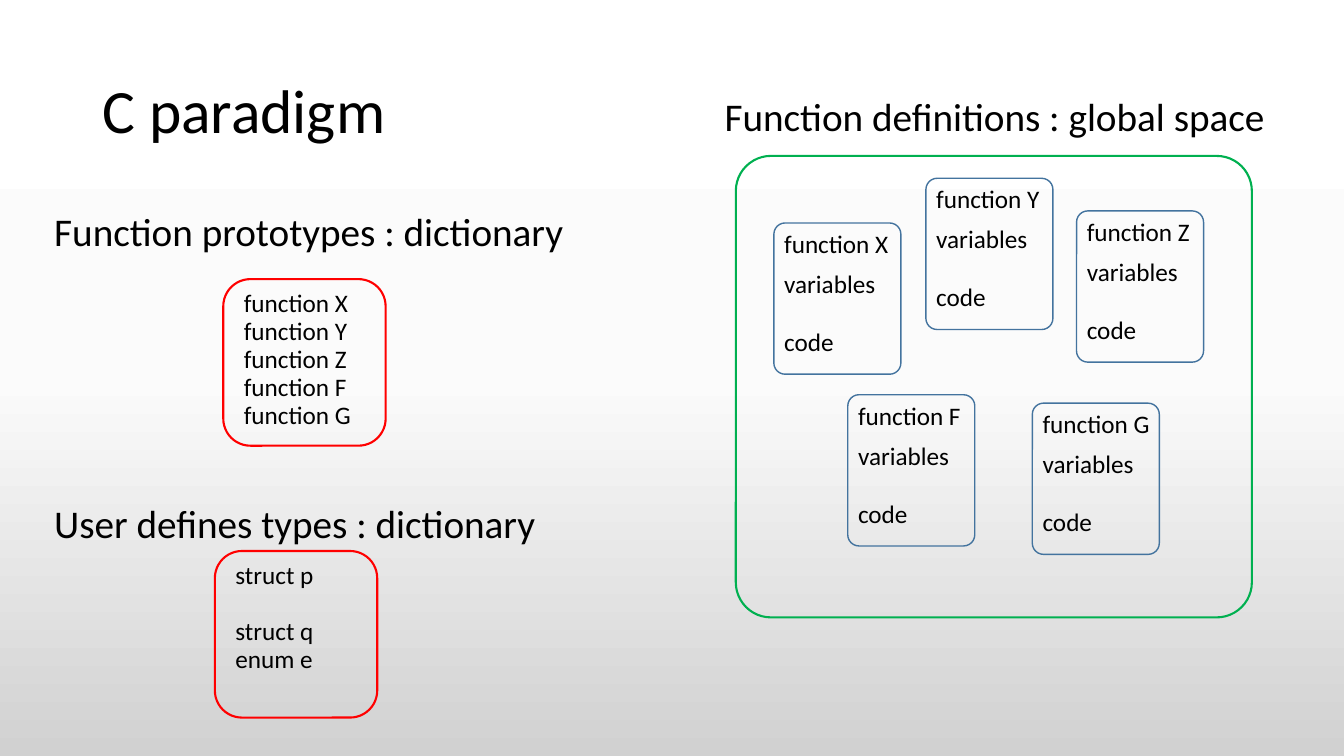
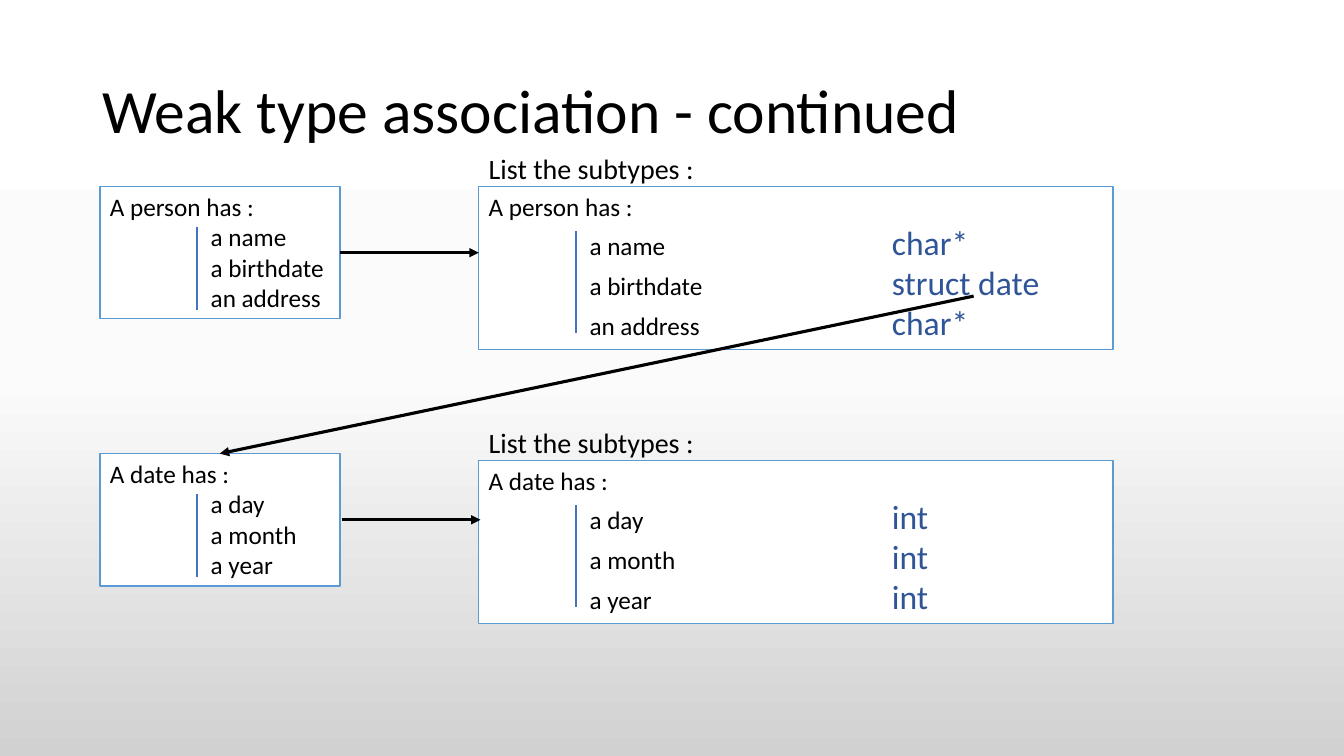
from copy import deepcopy

from lxml.etree import SubElement
from pptx import Presentation
from pptx.dml.color import RGBColor
from pptx.enum.shapes import MSO_CONNECTOR, MSO_SHAPE
from pptx.enum.text import MSO_ANCHOR, PP_ALIGN
from pptx.oxml.ns import qn
from pptx.util import Pt

FONT = "Calibri"
BLACK = RGBColor(0x00, 0x00, 0x00)
WHITE = RGBColor(0xFF, 0xFF, 0xFF)
RED = RGBColor(0xFF, 0x00, 0x00)
GREEN = RGBColor(0x00, 0xB0, 0x50)
STEEL = RGBColor(0x43, 0x73, 0x9E)
SKY = RGBColor(0x5B, 0x9B, 0xD5)
BLUE = RGBColor(0x44, 0x72, 0xC4)
NAVY = RGBColor(0x2F, 0x55, 0x97)
BACKDROP = [
    (0, WHITE),
    (0.5, RGBColor(0xFB, 0xFB, 0xFB)),
    (1, RGBColor(0xD1, 0xD1, 0xD1)),
]
TAB_STOPS = [72, 288]
BODY = 18


class Deck:
    def __init__(self):
        self.prs = Presentation()
        self.prs.slide_width, self.prs.slide_height = Pt(960), Pt(540)
        self.slide = None
        self.paint_backdrop()

    def paint_backdrop(self):
        fill = self.prs.slide_master.background.fill
        fill.gradient()
        fill.gradient_angle = 270
        last = fill.gradient_stops[-1]._gs
        last.addprevious(deepcopy(last))
        for stop, (position, color) in zip(fill.gradient_stops, BACKDROP):
            stop.position = position
            stop.color.rgb = color

    def new_slide(self, title):
        self.slide = self.prs.slides.add_slide(self.prs.slide_layouts[6])
        frame = self.label(title, 66, 28.8, 828, 44, 104.4)
        frame.vertical_anchor = MSO_ANCHOR.MIDDLE
        frame.paragraphs[0].line_spacing = 0.9

    def style(self, run, size, color=BLACK):
        run.font.name = FONT
        run.font.size = Pt(size)
        run.font.color.rgb = color

    def set_lines(self, frame, lines, size):
        frame.word_wrap = True
        frame.vertical_anchor = MSO_ANCHOR.TOP
        frame.text = "\n".join(lines)
        for paragraph in frame.paragraphs:
            paragraph.alignment = PP_ALIGN.LEFT
            for run in paragraph.runs:
                self.style(run, size)

    def label(self, text, left, top, width, size, height=40):
        box = self.slide.shapes.add_textbox(Pt(left), Pt(top), Pt(width), Pt(height))
        self.set_lines(box.text_frame, [text], size)
        return box.text_frame

    def outline(self, kind, left, top, width, height, color, weight, fill=None):
        shape = self.slide.shapes.add_shape(
            kind, Pt(left), Pt(top), Pt(width), Pt(height))
        shape.shadow.inherit = False
        if fill is None:
            shape.fill.background()
        else:
            shape.fill.solid()
            shape.fill.fore_color.rgb = fill
        shape.line.color.rgb = color
        shape.line.width = Pt(weight)
        return shape

    def rounded(self, left, top, width, height, color, weight, corner):
        shape = self.outline(
            MSO_SHAPE.ROUNDED_RECTANGLE, left, top, width, height, color, weight)
        shape.adjustments[0] = corner
        return shape

    def line(self, start, end, color, weight, arrow=False):
        connector = self.slide.shapes.add_connector(
            MSO_CONNECTOR.STRAIGHT, *(Pt(value) for value in (*start, *end)))
        connector.line.color.rgb = color
        connector.line.width = Pt(weight)
        properties = connector._element.spPr
        if arrow:
            SubElement(properties.find(qn("a:ln")), qn("a:tailEnd"), type="triangle")
        SubElement(properties, qn("a:effectLst"))

    def arrow(self, start, end):
        self.line(start, end, BLACK, 2.25, arrow=True)

    def dictionary(self, left, top, entries, gap_before=None):
        frame = self.rounded(left, top, 116, 119, RED, 1.5, 0.167).text_frame
        frame.margin_left, frame.margin_top = Pt(9), Pt(2)
        self.set_lines(frame, entries, BODY)
        for paragraph, entry in zip(frame.paragraphs, entries):
            paragraph.line_spacing = Pt(20)
            if entry == gap_before:
                paragraph.space_before = Pt(20)

    def function_card(self, name, left, top):
        frame = self.rounded(left, top, 90.7, 108, STEEL, 1, 0.088).text_frame
        frame.margin_left, frame.margin_top, frame.margin_right = Pt(5), Pt(1.3), Pt(0)
        self.set_lines(frame, [f"function {name}", "variables", "code"], BODY)
        for paragraph, space in zip(frame.paragraphs[1:], (7, 20)):
            paragraph.space_before = Pt(space)

    def record(self, left, top, width, height, owner, members, types, bar):
        box = self.outline(
            MSO_SHAPE.RECTANGLE, left, top, width, height, SKY, 1, WHITE)
        tail = "\t" if types else ""
        rows = [f"\t{member}{tail}" for member in members]
        self.set_lines(box.text_frame, [f"{owner} has :", *rows], BODY)
        member_rows = box.text_frame.paragraphs[1:]
        for paragraph in member_rows:
            stops = SubElement(paragraph._p.get_or_add_pPr(), qn("a:tabLst"))
            for stop in TAB_STOPS:
                SubElement(stops, qn("a:tab"), pos=str(Pt(stop)), algn="l")
        for paragraph, type_name in zip(member_rows, types):
            run = paragraph.add_run()
            run.text = type_name
            self.style(run, 24, NAVY)
        bar_left, (bar_top, bar_bottom) = left + 69.5, bar
        self.line((bar_left, top + bar_top), (bar_left, top + bar_bottom), BLUE, 1.5)

    def plain_record(self, top, owner, members):
        self.record(71.4, top, 171.4, 94.5, owner, members, [], (29, 88))

    def typed_record(self, top, owner, members, types):
        self.label("List the subtypes :", 342, top - 28.8, 420, 20, 32)
        self.record(342, top, 453, 116.5, owner, members, types, (32, 104.5))


def paradigm_slide(deck):
    deck.new_slide("C paradigm")
    cards = [
        ("X", 552.8, 159.3),
        ("F", 605.6, 282),
        ("Y", 661.4, 127.4),
        ("G", 737.4, 288),
        ("Z", 769, 150.7),
    ]
    for name, left, top in cards:
        deck.function_card(name, left, top)
    deck.rounded(525.6, 111.4, 368.6, 329.6, GREEN, 1.5, 0.076)
    deck.label("Function definitions : global space", 510.5, 62.6, 408, 28)
    deck.label("Function prototypes : dictionary", 31.7, 144.7, 407, 28)
    deck.dictionary(159.5, 199.4, [f"function {name}" for name in "XYZFG"])
    deck.label("User defines types : dictionary", 31.7, 352.8, 407, 28)
    deck.dictionary(153.5, 393.6, ["struct p", "struct q", "enum e"], "struct q")


def association_slide(deck):
    deck.new_slide("Weak type association - continued")
    records = [
        ("A person", ["a name", "a birthdate", "an address"],
         ["char*", "struct date", "char*"], 133.2, 133.2),
        ("A date", ["a day", "a month", "a year"], ["int"] * 3, 324, 329),
    ]
    for owner, members, types, plain_top, typed_top in records:
        deck.plain_record(plain_top, owner, members)
        deck.typed_record(typed_top, owner, members, types)
    deck.arrow((242.8, 180.5), (342, 180.5))
    deck.arrow((244, 371.3), (343.2, 371.3))
    deck.arrow((695.5, 211.5), (157, 324))


def main():
    deck = Deck()
    paradigm_slide(deck)
    association_slide(deck)
    deck.prs.save("out.pptx")


if __name__ == "__main__":
    main()
